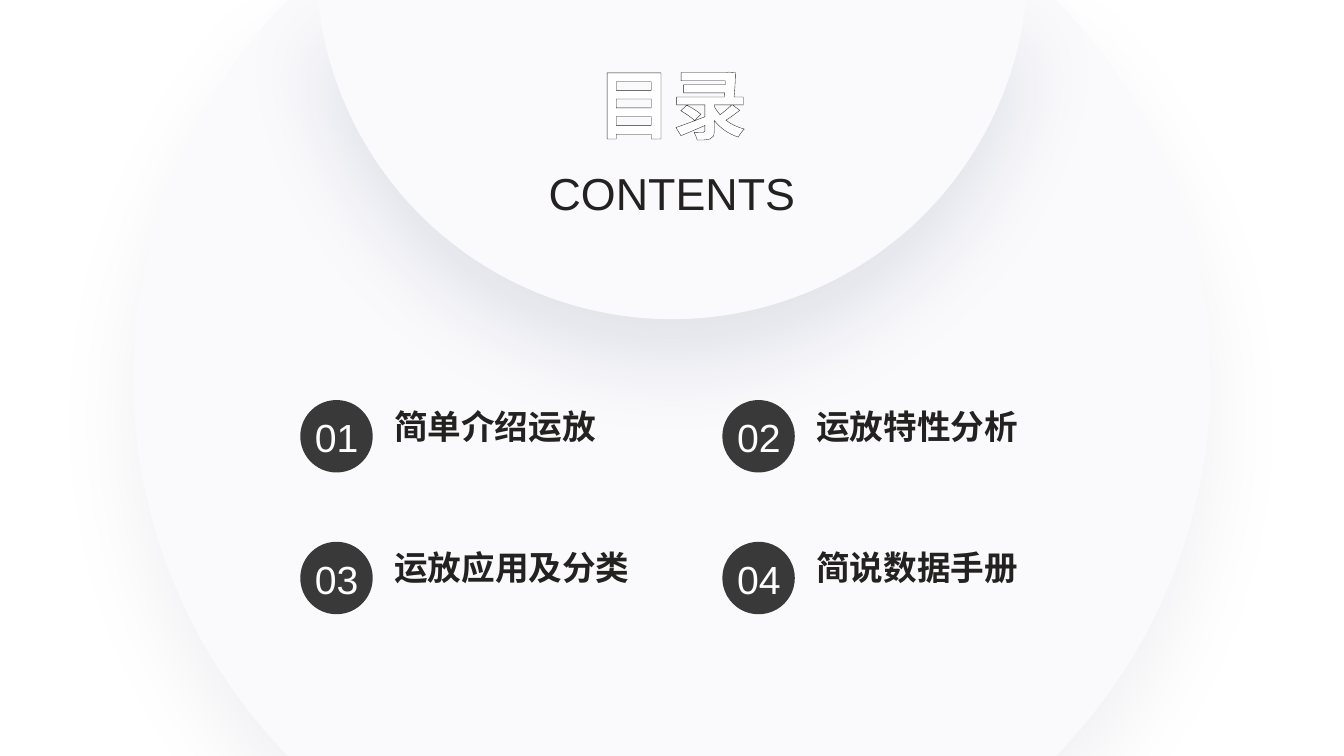
import math

import lxml.etree
import pptx
import pptx.dml.color
import pptx.enum.shapes
import pptx.enum.text
import pptx.oxml.ns
import pptx.util

PX = 9525
SLIDE_WIDTH, SLIDE_HEIGHT = 1280, 720
CENTER_X = SLIDE_WIDTH // 2

WHITE = pptx.dml.color.RGBColor(0xFF, 0xFF, 0xFF)
PALE = pptx.dml.color.RGBColor(0xFA, 0xFA, 0xFD)
INK = pptx.dml.color.RGBColor(0x23, 0x22, 0x20)
BADGE = pptx.dml.color.RGBColor(0x39, 0x39, 0x39)
SHADOW = pptx.dml.color.RGBColor(0x00, 0x15, 0x40)

LATIN = "Arial"
CHINESE = "Noto Sans CJK SC"

DISCS = [
    {"center_y": 360, "radius": 513, "opacity": 5},
    {"center_y": -35, "radius": 339, "opacity": 10},
]
TOPICS = [
    ("简单介绍运放", 226),
    ("运放特性分析", 226),
    ("运放应用及分类", 246),
    ("简说数据手册", 226),
]
COLUMN_LEFTS = [286, 688]
ROW_TOPS = [381, 516]
BADGE_SIZE = 69

Align = pptx.enum.text.PP_ALIGN
Anchor = pptx.enum.text.MSO_ANCHOR


def add_child(parent, tag, **attributes):
    return lxml.etree.SubElement(parent, pptx.oxml.ns.qn(tag), attributes)


def circle_point(center_y, radius, angle, pull=0):
    x = CENTER_X + radius * (math.cos(angle) - pull * math.sin(angle))
    y = center_y + radius * (math.sin(angle) + pull * math.cos(angle))
    return round(x * PX), round(y * PX)


def bend_side(line, disc, center_y, radius, start, end):
    pull = 4 / 3 * math.tan((end - start) / 4)
    curve = lxml.etree.Element(pptx.oxml.ns.qn("a:cubicBezTo"))
    for angle, offset in [(start, pull), (end, -pull), (end, 0)]:
        x, y = circle_point(center_y, radius, angle, offset)
        add_child(curve, "a:pt", x=str(x - disc.left), y=str(y - disc.top))
    line.getparent().replace(line, curve)


def add_disc(page, center_y, radius, opacity):
    bottom = min(SLIDE_HEIGHT, center_y + radius)
    start = math.asin(-center_y / radius)
    end = math.asin((bottom - center_y) / radius)
    right = [start, (start + end) / 2, end]
    angles = right + [math.pi - angle for angle in reversed(right)]
    points = [circle_point(center_y, radius, angle) for angle in angles]

    builder = page.shapes.build_freeform(*points[0], scale=1.0)
    builder.add_line_segments(points[1:], close=True)
    disc = builder.convert_to_shape()
    lines = disc._element.findall(".//" + pptx.oxml.ns.qn("a:lnTo"))
    for side in (0, 1, 3, 4):
        bend_side(lines[side], disc, center_y, radius, angles[side], angles[side + 1])

    disc.fill.solid()
    disc.fill.fore_color.rgb = PALE
    disc.line.fill.background()
    disc.shadow.inherit = False
    effects = disc._element.spPr.find(pptx.oxml.ns.qn("a:effectLst"))
    shadow = add_child(
        effects, "a:outerShdw",
        blurRad=str(pptx.util.Pt(60)), dist=str(pptx.util.Pt(30)),
        dir="5400000", algn="t", rotWithShape="0",
    )
    color = add_child(shadow, "a:srgbClr", val=str(SHADOW))
    add_child(color, "a:alpha", val=str(opacity * 1000))


def add_text(page, text, bounds, size, font, color, align, bold=False, wrap=True):
    box = page.shapes.add_textbox(*(value * PX for value in bounds))
    frame = box.text_frame
    frame.word_wrap = wrap
    para = frame.paragraphs[0]
    para.alignment = align
    para.add_run().text = text
    para.font.size = pptx.util.Pt(size)
    para.font.bold = bold
    para.font.color.rgb = color
    para.font.name = font
    defaults = para._p.pPr.find(pptx.oxml.ns.qn("a:defRPr"))
    add_child(defaults, "a:ea", typeface=font)
    return frame


def outline_text(span, color, width):
    line = lxml.etree.Element(pptx.oxml.ns.qn("a:ln"), w=str(pptx.util.Pt(width)))
    add_child(add_child(line, "a:solidFill"), "a:srgbClr", val=str(color))
    span._r.get_or_add_rPr().insert(0, line)


def add_topic(page, index, title, title_width):
    row, column = divmod(index, len(COLUMN_LEFTS))
    left, top = COLUMN_LEFTS[column], ROW_TOPS[row]

    label = add_text(page, title, (left + 80, top, title_width, 49),
                     24, CHINESE, INK, Align.JUSTIFY, bold=True)
    label.vertical_anchor = Anchor.MIDDLE

    badge = page.shapes.add_shape(
        pptx.enum.shapes.MSO_SHAPE.OVAL,
        left * PX, top * PX, BADGE_SIZE * PX, BADGE_SIZE * PX,
    )
    badge.shadow.inherit = False
    badge.fill.solid()
    badge.fill.fore_color.rgb = BADGE
    badge.line.fill.background()

    number = add_text(page, f"{index + 1:02d}", (left + 14, top + 13, 43, 45),
                      28, LATIN, WHITE, Align.JUSTIFY, wrap=False)
    number.margin_left = number.margin_right = 0
    number.margin_top = number.margin_bottom = 0


def main():
    deck = pptx.Presentation()
    deck.slide_width = SLIDE_WIDTH * PX
    deck.slide_height = SLIDE_HEIGHT * PX
    page = deck.slides.add_slide(deck.slide_layouts[6])
    page.background.fill.solid()
    page.background.fill.fore_color.rgb = WHITE

    for disc in DISCS:
        add_disc(page, **disc)
    for index, (title, width) in enumerate(TOPICS):
        add_topic(page, index, title, width)

    heading = add_text(page, "目录", (320, 50, 640, 97), 54, CHINESE, WHITE, Align.CENTER, bold=True)
    outline_text(heading.paragraphs[0].runs[0], INK, 0.75)
    subtitle = add_text(page, "CONTENTS", (320, 143, 640, 66), 32, LATIN, INK, Align.CENTER)
    subtitle.paragraphs[0].line_spacing = 1.2

    deck.save("out.pptx")


if __name__ == "__main__":
    main()
